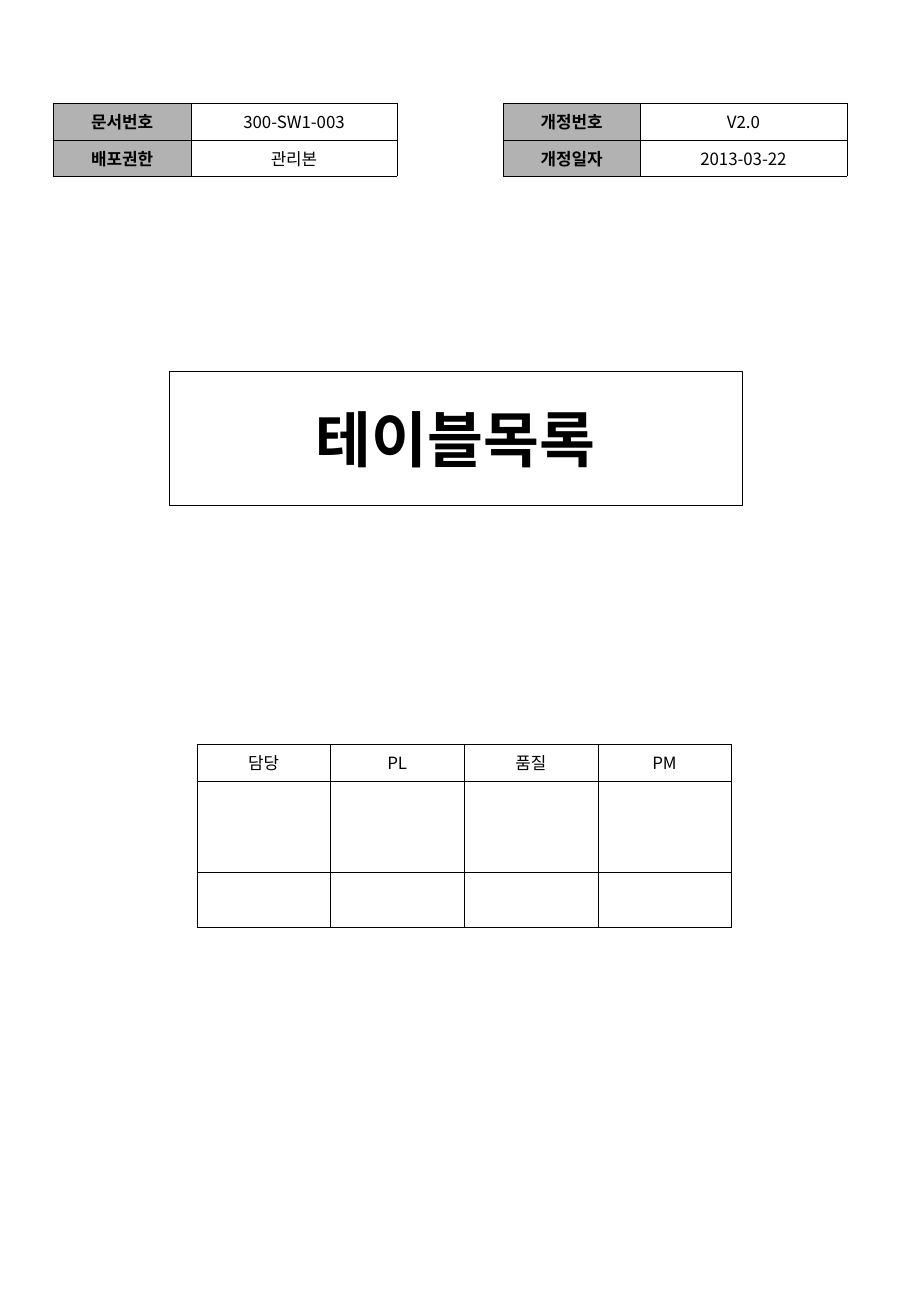
from lxml.etree import SubElement as add_element
from pptx import Presentation
from pptx.dml.color import RGBColor
from pptx.enum.text import MSO_ANCHOR, MSO_AUTO_SIZE, PP_ALIGN
from pptx.oxml.ns import qn
from pptx.util import Inches, Pt

COLORS = {"ink": "000000", "paper": "FFFFFF", "label": "B2B2B2"}
FONT = "Noto Sans CJK KR"


class CoverPage:
    def __init__(self, presentation):
        self.slide = presentation.slides.add_slide(presentation.slide_layouts[5])

    def color(self, name):
        return RGBColor.from_string(COLORS[name])

    def add_text(self, paragraph, text, size, bold=False):
        paragraph.alignment = PP_ALIGN.CENTER
        run = paragraph.add_run()
        run.text = text
        font = run.font
        font.name, font.size, font.bold = FONT, Pt(size), bold
        font.color.rgb = self.color("ink")
        add_element(font._element, qn("a:ea"), typeface=FONT)

    def title(self, text, left, top, width, height):
        shape = self.slide.shapes.title
        shape.left, shape.top = Inches(left), Inches(top)
        shape.width, shape.height = Inches(width), Inches(height)
        shape.fill.solid()
        shape.fill.fore_color.rgb = self.color("paper")
        shape.line.color.rgb = self.color("ink")
        shape.line.width = Pt(0.25)
        frame = shape.text_frame
        frame.auto_size = MSO_AUTO_SIZE.NONE
        frame.word_wrap = True
        frame.vertical_anchor = MSO_ANCHOR.MIDDLE
        self.add_text(frame.paragraphs[0], text, 36, bold=True)

    def border(self, cell):
        properties = cell._tc.get_or_add_tcPr()
        for side in ("a:lnL", "a:lnR", "a:lnT", "a:lnB"):
            line = add_element(properties, qn(side), w=str(Pt(0.11)))
            fill = add_element(line, qn("a:solidFill"))
            add_element(fill, qn("a:srgbClr"), val=COLORS["ink"])

    def table(self, left, top, widths, heights, rows, labelled=False):
        frame = self.slide.shapes.add_table(
            len(heights), len(widths), Inches(left), Inches(top),
            Inches(sum(widths)), Inches(sum(heights)))
        table = frame.table
        table.first_row = table.horz_banding = False
        for column, width in zip(table.columns, widths):
            column.width = Inches(width)
        for row, height in zip(table.rows, heights):
            row.height = Inches(height)
        for row, texts in zip(table.rows, rows):
            for index, (cell, text) in enumerate(zip(row.cells, texts)):
                is_label = labelled and index == 0
                cell.vertical_anchor = MSO_ANCHOR.MIDDLE
                self.border(cell)
                if is_label:
                    cell.fill.solid()
                    cell.fill.fore_color.rgb = self.color("label")
                else:
                    cell.fill.background()
                if text:
                    self.add_text(cell.text_frame.paragraphs[0], text, 10, is_label)


def main():
    presentation = Presentation()
    presentation.slide_width = Inches(7.5)
    presentation.slide_height = Inches(10.84)
    page = CoverPage(presentation)
    page.title("테이블목록", 1.39, 3.06, 4.72, 1.1)
    document_details = [
        (0.44, [("문서번호", "300-SW1-003"), ("배포권한", "관리본")]),
        (4.14, [("개정번호", "V2.0"), ("개정일자", "2013-03-22")]),
    ]
    for left, rows in document_details:
        page.table(left, 0.85, [1.13, 1.7], [0.3] * 2, rows, labelled=True)
    approvers = ["담당", "PL", "품질", "PM"]
    blank = [""] * len(approvers)
    page.table(1.62, 6.13, [1.1] * len(approvers), [0.3, 0.75, 0.46],
               [approvers, blank, blank])
    presentation.save("out.pptx")


if __name__ == "__main__":
    main()
